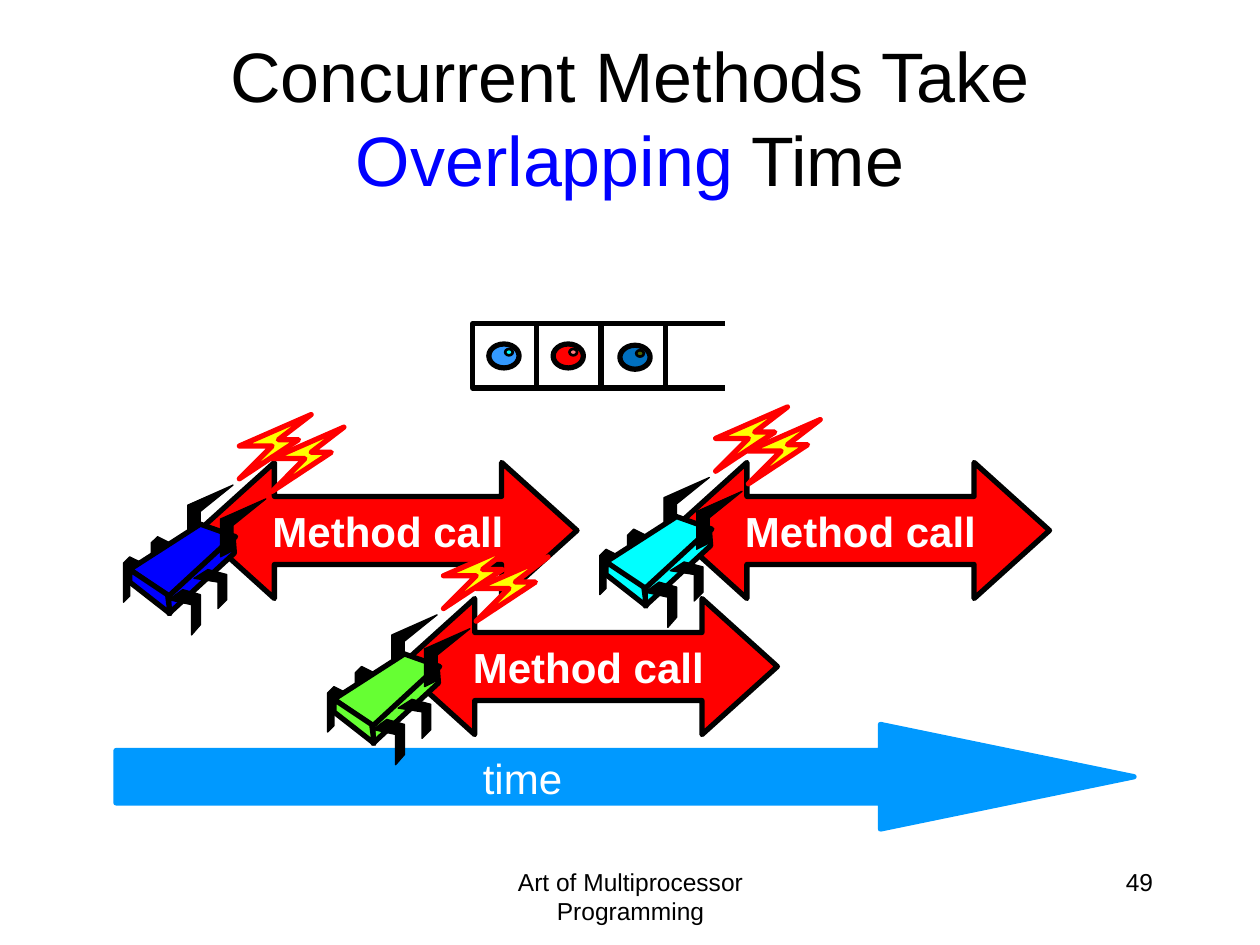
"""Build a slide on concurrent method calls that overlap in time."""
from dataclasses import dataclass

from lxml import etree
from pptx import Presentation
from pptx.dml.color import RGBColor
from pptx.enum.shapes import MSO_CONNECTOR, MSO_SHAPE
from pptx.enum.text import MSO_ANCHOR, PP_ALIGN
from pptx.oxml.ns import qn
from pptx.util import Inches, Pt

RECT, OVAL = MSO_SHAPE.RECTANGLE, MSO_SHAPE.OVAL
ARROW, SPAN = MSO_SHAPE.RIGHT_ARROW, MSO_SHAPE.LEFT_RIGHT_ARROW
LINE = MSO_CONNECTOR.STRAIGHT
LEFT, MID, RIGHT = PP_ALIGN.LEFT, PP_ALIGN.CENTER, PP_ALIGN.RIGHT
TOP, MIDDLE = MSO_ANCHOR.TOP, MSO_ANCHOR.MIDDLE

BLACK = RGBColor(0, 0, 0)
WHITE = RGBColor(255, 255, 255)
RED = RGBColor(255, 0, 0)
YELLOW = RGBColor(255, 255, 0)
BLUE = RGBColor(0, 0, 255)
CYAN = RGBColor(0, 255, 255)
GREEN = RGBColor(0x66, 0xFF, 0x33)
SKY = RGBColor(0x00, 0x99, 0xFF)
AZURE = RGBColor(0x33, 0x99, 0xFF)
NAVY = RGBColor(0x00, 0x70, 0xC0)
PINK = RGBColor(0xFF, 0x7C, 0x80)
OLIVE = RGBColor(0x4C, 0x66, 0x00)

Spot = tuple[float, float]
Box = tuple[float, float, float, float]

BOLT = [(0, .51), (.26, .25), (0, .25), (.57, 0), (.31, .2), (.47, .2)]
FEELER = [(0, .46), (.1, .41), (.1, .21), (.36, 0), (0, .16)]
HIND = [(.15, .05), (.05, 0), (0, .05), (0, .36), (.05, .31), (.05, .1), (.15, .15)]
BACK = [(.61, .87), (.05, 1.23), (.36, 1.45), (.89, .97)]
SIDE = [(.87, .97), (.36, 1.44), (.36, 1.58), (.88, 1.1)]
FRONT = [(.05, 1.23), (.05, 1.33), (.37, 1.58), (.35, 1.43)]
NEAR = [(.47, 1.39), (.36, 1.47), (.54, 1.51), (.54, 1.75), (.61, 1.67), (.61, 1.43)]
FAR = [(.67, 1.23), (.56, 1.3), (.75, 1.33), (.75, 1.54), (.82, 1.47), (.82, 1.27)]


@dataclass
class Part:
    """One outline of a bug, with its offset; no fill means the body colour."""
    dots: list[Spot]
    at: Spot = (0, 0)
    fill: RGBColor | None = BLACK
    edge: RGBColor = BLACK
    width: float = .75


@dataclass
class Bug:
    """A thread, drawn as a bug."""
    at: Spot
    color: RGBColor


@dataclass
class Ball:
    """An item in the queue with its glint."""
    at: Spot
    fill: RGBColor
    glint: RGBColor


PARTS = [
    Part(BOLT, (.92, 0), YELLOW, RED, 3),
    Part(FEELER, (.51, .56)),
    Part(HIND, (0, 1.13)),
    Part(HIND, (.22, .97)),
    Part(BACK, fill=None, width=3),
    Part(SIDE, fill=None, width=3),
    Part(FRONT, fill=None, width=3),
    Part(NEAR),
    Part(FAR),
    Part(FEELER, (.77, .67)),
    Part(BOLT, (1.18, .1), YELLOW, RED, 3),
]
BUGS = [Bug((.98, 3.29), BLUE), Bug((4.76, 3.23), CYAN), Bug((2.6, 4.32), GREEN)]
BALLS = [
    Ball((3.88, 2.73), AZURE, CYAN),
    Ball((4.39, 2.73), RED, PINK),
    Ball((4.92, 2.74), NAVY, OLIVE),
]
CALLS = [(1.58, 3.67), (5.33, 3.67), (3.17, 4.75)]
CELL = .51


def paint(shape, fill: RGBColor | None, edge: RGBColor, width: float) -> None:
    """Set fill and outline and drop the shadow."""
    shape.shadow.inherit = False
    if fill is None:
        shape.fill.background()
    else:
        shape.fill.solid()
        shape.fill.fore_color.rgb = fill
    shape.line.color.rgb = edge
    shape.line.width = Pt(width)


def form(slide, kind, box: Box, fill=None, edge=BLACK, width: float = 3, adj=()):
    """Add a preset shape."""
    shape = slide.shapes.add_shape(kind, *map(Inches, box))
    for i, value in enumerate(adj):
        shape.adjustments[i] = value
    paint(shape, fill, edge, width)
    return shape


def write(shape, *runs: tuple[str, RGBColor], size=14, bold=False, align=LEFT,
          anchor=TOP, wrap=True) -> None:
    """Put one paragraph of coloured runs in a shape."""
    frame = shape.text_frame
    frame.word_wrap = wrap
    frame.vertical_anchor = anchor
    para = frame.paragraphs[0]
    para.alignment = align
    for text, color in runs:
        run = para.add_run()
        run.text = text
        run.font.name = "Arial"
        run.font.size = Pt(size)
        run.font.bold = bold
        run.font.color.rgb = color


def label(slide, box: Box, *runs: tuple[str, RGBColor], **style) -> None:
    """Add a text box."""
    write(slide.shapes.add_textbox(*map(Inches, box)), *runs, **style)


def rail(slide, x: float, y: float, length: float) -> None:
    """Add a level line."""
    line = slide.shapes.add_connector(
        LINE, Inches(x), Inches(y), Inches(x + length), Inches(y))
    line.line.color.rgb = BLACK
    line.line.width = Pt(3)
    etree.SubElement(line._element.spPr, qn("a:effectLst"))


def queue(slide, left: float, top: float) -> None:
    """Draw the open-ended queue and its items."""
    for i, ball in enumerate(BALLS):
        x, y = ball.at
        form(slide, RECT, (left + i * CELL, top, CELL, CELL))
        form(slide, OVAL, (x, y, .24, .19), ball.fill)
        form(slide, OVAL, (x + .13, y + .04, .06, .05), ball.glint, width=1.5)
    for y in (top, top + CELL):
        rail(slide, 5.24, y, CELL)


def draw(slide, bug: Bug) -> None:
    """Draw a bug from its parts."""
    for part in PARTS:
        x, y = bug.at[0] + part.at[0], bug.at[1] + part.at[1]
        dots = [(Inches(x + dx), Inches(y + dy)) for dx, dy in part.dots]
        pen = slide.shapes.build_freeform(*dots[0])
        pen.add_line_segments(dots[1:], close=True)
        paint(pen.convert_to_shape(), part.fill or bug.color, part.edge, part.width)


def main() -> None:
    """Build and save the slide."""
    deck = Presentation()
    deck.slide_width, deck.slide_height = Inches(10), Inches(7.5)
    slide = deck.slides.add_slide(deck.slide_layouts[6])

    label(slide, (3.42, 6.83, 3.17, .5),
          ("Art of Multiprocessor Programming", BLACK), align=MID)
    label(slide, (7.17, 6.83, 2.08, .5), ("49", BLACK), align=RIGHT)
    form(slide, ARROW, (.92, 5.75, 8.08, .83), SKY, SKY, adj=(.5, 2.425))
    label(slide, (.5, .3, 9, 1.25), ("Concurrent Methods Take ", BLACK),
          ("Overlapping", BLUE), (" Time", BLACK), size=40, align=MID, anchor=MIDDLE)
    label(slide, (3.72, 5.92, .84, .5), ("time", WHITE),
          size=24, align=RIGHT, wrap=False)

    queue(slide, 3.75, 2.57)
    for x, y in CALLS:
        call = form(slide, SPAN, (x, y, 3, 1.08), RED, adj=(.5, .554))
        write(call, ("Method call", WHITE), size=24, bold=True,
              align=MID, anchor=MIDDLE, wrap=False)
    for bug in BUGS:
        draw(slide, bug)

    deck.save("out.pptx")


if __name__ == "__main__":
    main()
